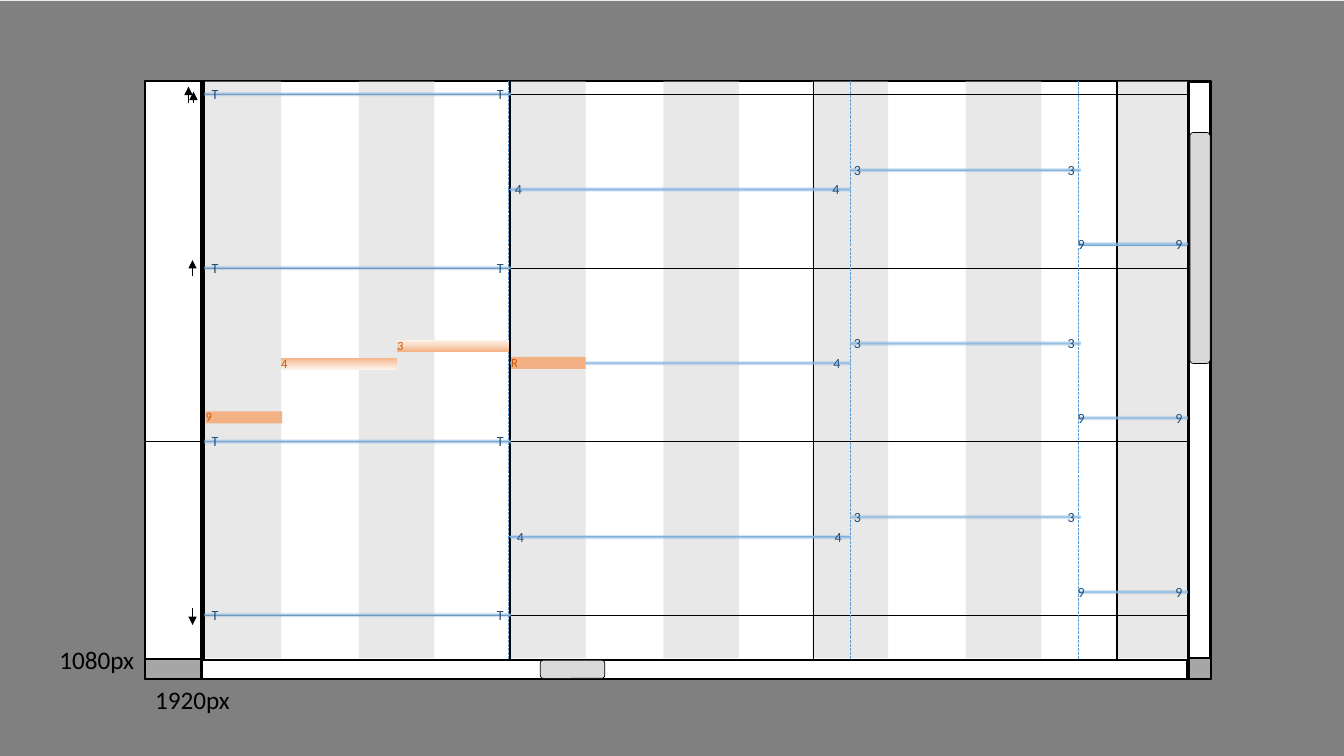
from dataclasses import dataclass, field
from lxml import etree
from pptx import Presentation
from pptx import util as u
from pptx.dml import color
from pptx.enum import dml, shapes, text
from pptx.oxml import ns


def default_colours():
    return dict(
        backdrop="808080", paper="FFFFFF", ink="000000", band="E8E8E8",
        corner="A6A6A6", thumb="D9D9D9", guide="5B9BD5", bar="8CB9E2",
        note="F4B183", note_mid="FAD8C1", note_end="FDF2EA",
        pitch="1F4E79", played="C55A11",
    )


def default_sizes():
    return dict(axis=18, pitch=10, played=9)


@dataclass
class Theme:
    font: str = "Calibri"
    colours: dict = field(default_factory=default_colours)
    sizes: dict = field(default_factory=default_sizes)

    def rgb(self, name):
        return color.RGBColor.from_string(self.colours[name])


class Board:
    COLS, ROWS = 133.33, 75

    def __init__(self, prs, theme):
        self.theme = theme
        self.s = prs.slides.add_slide(prs.slide_layouts[6])
        self.col = prs.slide_width / self.COLS
        self.row = prs.slide_height / self.ROWS

    def place(self, x, y):
        return round(x * self.col), round(y * self.row)

    def box(self, x, y, w, h, fill=None, line=0, kind="RECTANGLE"):
        preset = getattr(shapes.MSO_SHAPE, kind)
        sp = self.s.shapes.add_shape(preset, *self.place(x, y), *self.place(w, h))
        sp.shadow.inherit = False
        if fill:
            sp.fill.solid()
            sp.fill.fore_color.rgb = self.theme.rgb(fill)
        if line:
            sp.line.color.rgb = self.theme.rgb("ink")
            sp.line.width = u.Pt(line)
        else:
            sp.line.fill.background()
        return sp

    def gradient(self, x, y, w, h, stops, angle):
        sp = self.box(x, y, w, h)
        grad = etree.Element(ns.qn("a:gradFill"), rotWithShape="1")
        gs_list = etree.SubElement(grad, ns.qn("a:gsLst"))
        for pos, name, alpha in stops:
            gs = etree.SubElement(gs_list, ns.qn("a:gs"), pos=str(pos * 1000))
            clr = etree.SubElement(gs, ns.qn("a:srgbClr"), val=self.theme.colours[name])
            if alpha < 100:
                etree.SubElement(clr, ns.qn("a:alpha"), val=str(alpha * 1000))
        etree.SubElement(grad, ns.qn("a:lin"), ang=str(angle * 60000), scaled="0")
        sp._element.spPr.find(ns.qn("a:prstGeom")).addnext(grad)

    def line(self, x1, y1, x2, y2, width, tint="ink", dashed=False, arrow=False):
        cx = self.s.shapes.add_connector(
            shapes.MSO_CONNECTOR.STRAIGHT, *self.place(x1, y1), *self.place(x2, y2))
        cx.line.color.rgb = self.theme.rgb(tint)
        cx.line.width = u.Pt(width)
        if dashed:
            cx.line.dash_style = dml.MSO_LINE.SQUARE_DOT
        if arrow:
            etree.SubElement(cx.line._get_or_add_ln(), ns.qn("a:tailEnd"), type="triangle")
        etree.SubElement(cx._element.spPr, ns.qn("a:effectLst"))

    def label(self, x, y, w, h, words, style, tint, wrap=True):
        tb = self.s.shapes.add_textbox(*self.place(x, y), *self.place(w, h))
        tf = tb.text_frame
        frame = dict(word_wrap=wrap, auto_size=text.MSO_AUTO_SIZE.SHAPE_TO_FIT_TEXT)
        for k, v in frame.items():
            setattr(tf, k, v)
        r = tf.paragraphs[0].add_run()
        r.text = words
        fmt = dict(name=self.theme.font, size=u.Pt(self.theme.sizes[style]))
        for k, v in fmt.items():
            setattr(r.font, k, v)
        r.font.color.rgb = self.theme.rgb(tint)


TOP, BOTTOM = 8, 65.4
LEFT, KEYS, RIGHT = 14.4, 20.1, 117.9
OCTAVE = 17.23
BANDS = [(19.9, 8), (35.6, 7.5), (50.6, 7.5), (65.8, 7.5),
         (80.6, 7.5), (95.8, 7.5), (110.8, 7.5)]
GUIDES = [50.4, 84.4, 107]
GLOW = [(20, "bar", 0), (50, "bar", 100), (80, "bar", 0)]
FADE = [(0, "note", 100), (51, "note_mid", 100), (100, "note_end", 100)]
# name, bar left, bar top, bar width, octaves, label lefts, label width, drift
PITCHES = [
    ("T", 20.3, 9, 30.3, 4, (20, 48.3), 2.1, 0),
    ("4", 50.6, 18.45, 33.8, 3, (50.1, 81.6), 2.4, 0.1),
    ("3", 84.4, 16.5, 22.8, 3, (84.1, 105.3), 1.6, 0),
    ("9", 107, 23.9, 10.8, 3, (106.9, 116.6), 0.8, 0),
]
NOTES = [("9", 20.4, 40.8, 7.6, 0.6, None), ("4", 27.9, 35.5, 11.5, 0.7, 90),
         ("3", 39.4, 33.7, 11.1, 0.8, 270), ("R", 50.7, 35.4, 7.4, 0.6, None)]
ARROWS = [(19.2, 10.2, 9.1), (18.7, 10.2, 8.6), (19.1, 27.4, 25.8), (19.1, 60.3, 62)]


def draw_frame(b):
    b.box(0, 0.1, b.COLS, b.ROWS, "backdrop")
    b.box(LEFT, TOP, 105.7, 59.4, "paper", 1.5)
    for x, w in BANDS:
        b.box(x, 8.1, w, 57.2, "band")
    b.line(LEFT, 43.8, RIGHT, 43.8, 1.25)
    b.line(KEYS, TOP, KEYS, BOTTOM, 3.75)
    for octave in (0, 1, 3):
        y = 9.4 + octave * OCTAVE
        b.line(KEYS, y, RIGHT, y, 0.5)
    b.label(14.4, 67.4, 9.5, 4, "1920px", "axis", "ink", wrap=False)
    b.label(4.9, 63.4, 9.5, 4, "1080px", "axis", "ink", wrap=False)


def draw_scrollbars(b):
    b.box(RIGHT, 65.3, 2.2, 2.1, "corner", 1.5)
    b.box(20, 65.5, 97.8, 1.9, "paper", 1.5)
    b.box(53.6, 65.5, 6.4, 1.8, "thumb", 0.5, "ROUNDED_RECTANGLE")
    b.box(RIGHT, 8.1, 2.1, 57.2, "paper", 1.5)
    b.box(118.05, 13.15, 2, 22.9, "thumb", 0.5, "ROUNDED_RECTANGLE")
    b.box(LEFT, 65.4, 5.5, 2, "corner", 1.5)


def draw_measures(b):
    for x in (50.6, 80.7, 110.8):
        b.line(x, TOP, x, BOTTOM, 1)
    for x in GUIDES:
        b.line(x, BOTTOM, x, TOP, 0.75, "guide", dashed=True)
    for x1, x2, y in [(50.4, 84.3, 53.2), (50.4, 84.3, 18.8),
                      (84.3, 107, 16.9), (107, 117.8, 24.3)]:
        b.line(x1, y, x2, y, 0.5, "guide")


def draw_pitches(b):
    for name, x, y, w, octaves, lefts, lw, drift in PITCHES:
        for octave in range(octaves):
            b.gradient(x, y + octave * OCTAVE, w, 0.7, GLOW, 270)
    for name, x, y, w, lw, angle in NOTES:
        if angle is None:
            b.box(x, y, w, 1.2, "note")
        else:
            b.gradient(x, y, w, 1.2, FADE, angle)
        b.label(x, y - 0.7, lw, 2.5, name, "played", "played")
    for name, x, y, w, octaves, lefts, lw, drift in PITCHES:
        for octave in range(octaves):
            for left in lefts:
                if (name, octave, left) != ("4", 1, lefts[0]):
                    b.label(left + octave * drift, y - 1 + octave * OCTAVE,
                            lw, 2.7, name, "pitch", "pitch")
    for x, y1, y2 in ARROWS:
        b.line(x, y1, x, y2, 0.5, arrow=True)


def main():
    prs = Presentation()
    prs.slide_width, prs.slide_height = u.Inches(13.33), u.Inches(7.5)
    b = Board(prs, Theme())
    for draw in (draw_frame, draw_scrollbars, draw_measures, draw_pitches):
        draw(b)
    prs.save("out.pptx")


if __name__ == "__main__":
    main()
